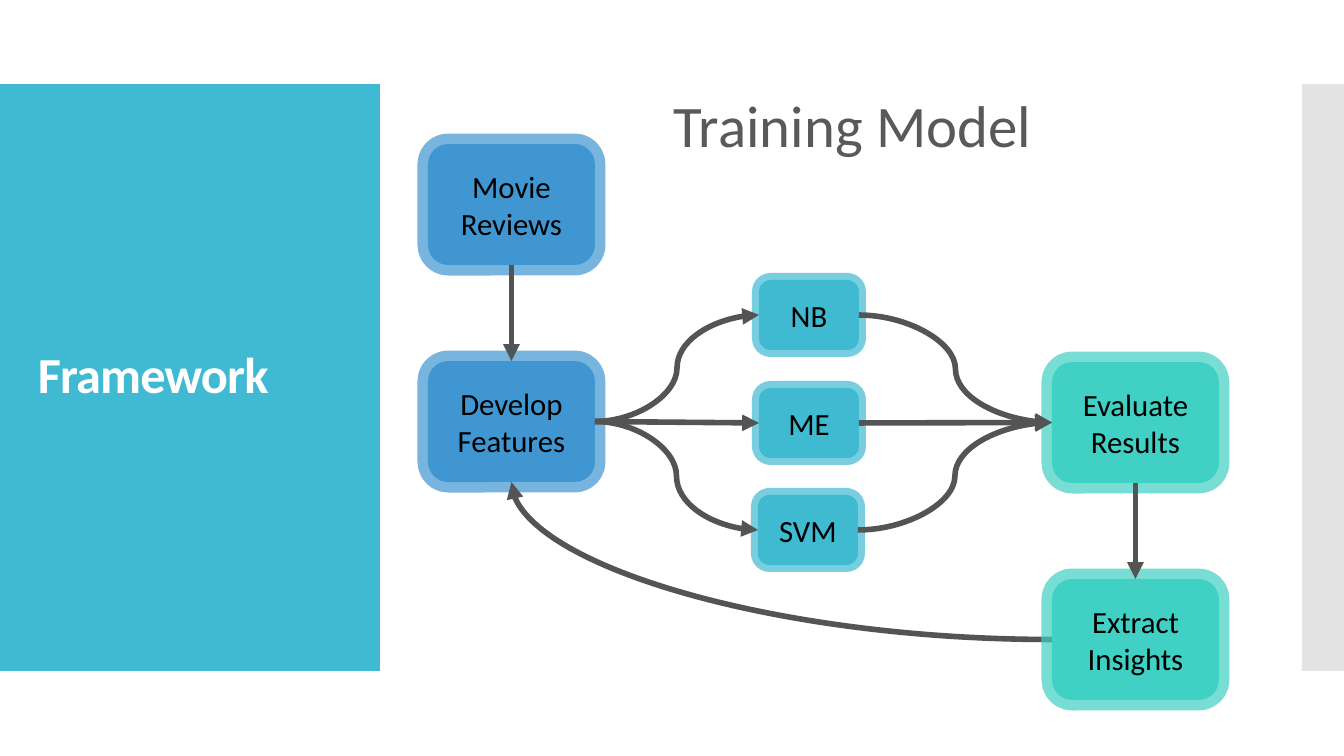
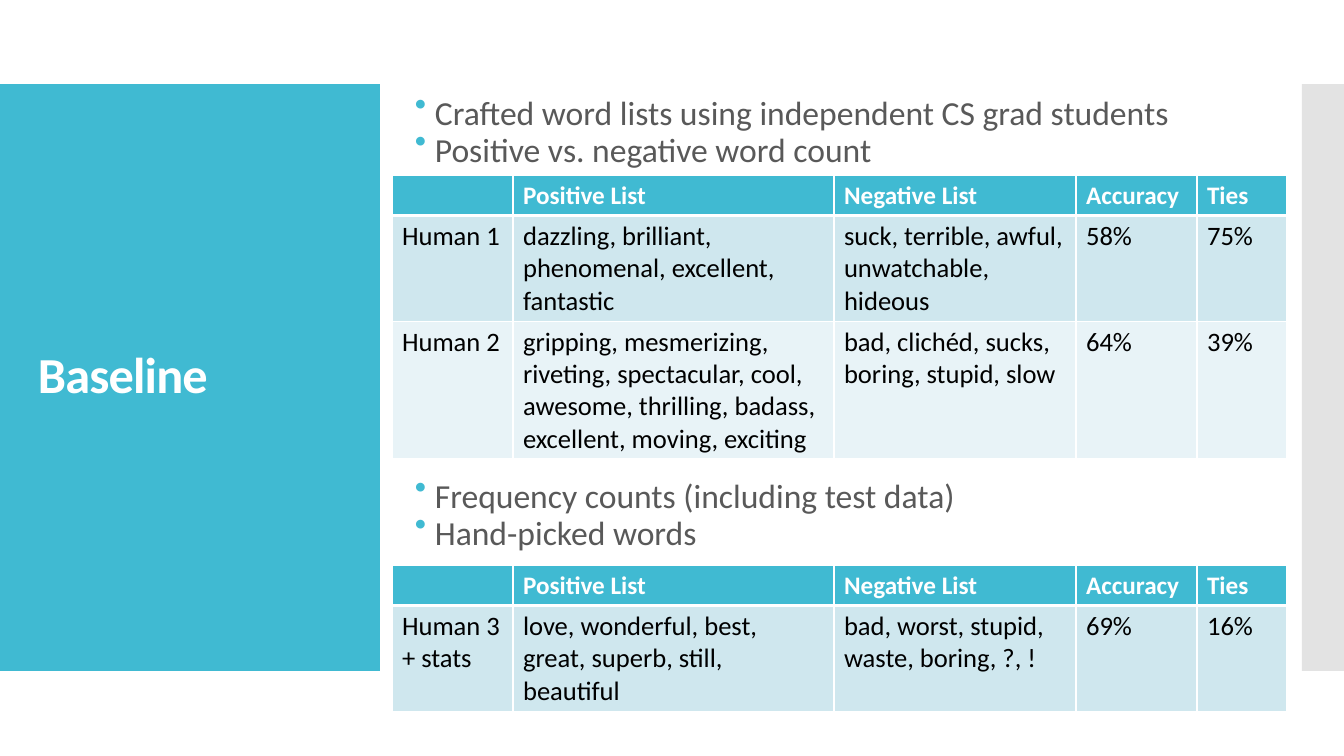
from dataclasses import dataclass
from typing import Any

from lxml.etree import SubElement
from pptx import Presentation as Deck
from pptx.dml.color import RGBColor as Rgb
from pptx.enum.shapes import MSO_CONNECTOR as Wire, MSO_SHAPE as Form
from pptx.enum.text import MSO_ANCHOR as Anchor, PP_ALIGN as Align
from pptx.oxml.ns import qn
from pptx.util import Emu, Pt

SCALE = 914400 / 100.8
FONT = "Calibri"
TEAL, BLUE, MINT = "40BAD2", "4096D1", "40D1C4"
WHITE, BLACK, GREY, DARK = "FFFFFF", "000000", "595959", "545454"
TINTS = ("CFE7EE", "E8F3F7")
HEAD = ("", "Positive List", "Negative List", "Accuracy", "Ties")
COLS = (121, 321, 242, 121, 90)
TOP, LEFT, LOW, RIGHT = range(4)


@dataclass(frozen=True)
class Band:
    left: int
    wide: int
    fill: str
    alpha: int


@dataclass(frozen=True)
class Kind:
    wide: int
    high: int
    fill: str
    edge: int


@dataclass(frozen=True)
class Node:
    text: str
    left: int
    top: int
    kind: Kind


@dataclass(frozen=True)
class Link:
    start: str
    out: int
    end: str
    into: int
    wire: Any = Wire.CURVE


@dataclass(frozen=True)
class Grid:
    top: int
    highs: tuple[int, ...]
    rows: tuple[tuple[str, ...], ...]


@dataclass(frozen=True)
class Points:
    top: int
    lines: tuple[str, ...]


BANDS = (Band(0, 380, TEAL, 100), Band(1302, 42, "C8C8C8", 50))

DATA = Kind(167, 121, BLUE, 15)
MODEL = Kind(100, 70, "40BAD1", 10)
GOAL = Kind(167, 121, MINT, 15)

NODES = (
    Node("Movie Reviews", 428, 144, DATA),
    Node("Develop Features", 428, 361, DATA),
    Node("NB", 759, 280, MODEL),
    Node("ME", 759, 388, MODEL),
    Node("SVM", 758, 495, MODEL),
    Node("Extract Insights", 1052, 579, GOAL),
    Node("Evaluate Results", 1052, 362, GOAL),
)

BACK = Link("Extract Insights", LEFT, "Develop Features", LOW)
LINKS = (
    Link("Movie Reviews", LOW, "Develop Features", TOP, Wire.STRAIGHT),
    Link("Develop Features", RIGHT, "NB", LEFT),
    Link("Develop Features", RIGHT, "ME", LEFT, Wire.STRAIGHT),
    Link("Develop Features", RIGHT, "SVM", LEFT),
    Link("NB", RIGHT, "Evaluate Results", LEFT),
    Link("ME", RIGHT, "Evaluate Results", LEFT, Wire.STRAIGHT),
    Link("SVM", RIGHT, "Evaluate Results", LEFT),
    Link("Evaluate Results", LOW, "Extract Insights", TOP, Wire.STRAIGHT),
)

LISTS = (
    Points(104, (
        "Crafted word lists using independent CS grad students",
        "Positive vs. negative word count",
    )),
    Points(487, (
        "Frequency counts (including test data)",
        "Hand-picked words",
    )),
)

GRIDS = (
    Grid(175, (38, 101, 120), (
        HEAD,
        ("Human 1", "dazzling, brilliant, phenomenal, excellent, fantastic",
         "suck, terrible, awful, unwatchable, hideous", "58%", "75%"),
        ("Human 2", "gripping, mesmerizing, riveting, spectacular, cool, "
         "awesome, thrilling, badass, excellent, moving, exciting",
         "bad, clichéd, sucks, boring, stupid, slow", "64%", "39%"),
    )),
    Grid(565, (38, 101), (
        HEAD,
        ("Human 3 + stats",
         "love, wonderful, best, great, superb, still, beautiful",
         "bad, worst, stupid, waste, boring, ?, !", "69%", "16%"),
    )),
)


def px(count: float) -> Emu:
    return Emu(round(count * SCALE))


def tint(code: str) -> Rgb:
    return Rgb.from_string(code)


def paint(part: Any, code: str) -> None:
    part.fill.solid()
    part.fill.fore_color.rgb = tint(code)


def fade(shape: Any, alpha: int) -> None:
    last = list(shape._element.spPr.iter(qn("a:srgbClr")))[-1]
    SubElement(last, qn("a:alpha")).set("val", str(alpha * 1000))


def style(para: Any, size: float, code: str, bold: bool = False) -> None:
    for run in para.runs:
        font = run.font
        font.name, font.size, font.bold = FONT, Pt(size), bold
        font.color.rgb = tint(code)


def add_text(slide: Any, left: int, top: int, wide: int, high: int) -> Any:
    frame = slide.shapes.add_textbox(
        px(left), px(top), px(wide), px(high)).text_frame
    frame.word_wrap = True
    return frame


def add_band(slide: Any, band: Band) -> None:
    shape = slide.shapes.add_shape(
        Form.RECTANGLE, px(band.left), px(84), px(band.wide), px(587))
    shape.shadow.inherit = False
    paint(shape, band.fill)
    shape.line.fill.background()
    if band.alpha < 100:
        fade(shape, band.alpha)


def add_slide(deck: Any, title: str) -> Any:
    slide = deck.slides.add_slide(deck.slide_layouts[6])
    for band in BANDS:
        add_band(slide, band)
    frame = add_text(slide, 28, 124, 325, 507)
    frame.vertical_anchor = Anchor.MIDDLE
    frame.text = title
    para = frame.paragraphs[0]
    para.line_spacing = 0.9
    style(para, 36, WHITE, True)
    para.runs[0].font._element.set("spc", "-60")
    return slide


def add_node(slide: Any, node: Node) -> Any:
    kind = node.kind
    shape = slide.shapes.add_shape(
        Form.ROUNDED_RECTANGLE, px(node.left), px(node.top),
        px(kind.wide), px(kind.high))
    shape.shadow.inherit = False
    paint(shape, kind.fill)
    shape.line.color.rgb = tint(kind.fill)
    shape.line.width = Pt(kind.edge)
    fade(shape, 70)
    frame = shape.text_frame
    frame.word_wrap = True
    frame.margin_left = frame.margin_right = px(5)
    frame.vertical_anchor = Anchor.MIDDLE
    frame.text = node.text
    para = frame.paragraphs[0]
    para.alignment = Align.CENTER
    style(para, 22, BLACK)
    return shape


def add_link(slide: Any, link: Link, nodes: dict[str, Any]) -> Any:
    line = slide.shapes.add_connector(link.wire, 0, 0, 0, 0)
    line.begin_connect(nodes[link.start], link.out)
    line.end_connect(nodes[link.end], link.into)
    line.line.color.rgb = tint(DARK)
    line.line.width = Pt(4)
    prop = line._element.spPr
    SubElement(prop.find(qn("a:ln")), qn("a:tailEnd")).set("type", "triangle")
    SubElement(prop, qn("a:effectLst"))
    return line


def add_list(slide: Any, points: Points) -> None:
    frame = add_text(slide, 405, points.top, 806, 68)
    for spot, text in enumerate(points.lines):
        para = frame.add_paragraph() if spot else frame.paragraphs[0]
        para.text = text
        para.line_spacing = 0.5
        para.space_before = Pt(12)
        style(para, 24, GREY)
        prop = para._p.get_or_add_pPr()
        prop.set("marL", str(px(20)))
        prop.set("indent", str(-px(20)))
        hue = SubElement(prop, qn("a:buClr"))
        SubElement(hue, qn("a:srgbClr")).set("val", TEAL)
        SubElement(prop, qn("a:buChar")).set("char", "•")


def add_edges(cell: Any, top: int, low: int) -> None:
    prop = cell._tc.get_or_add_tcPr()
    sides = (("L", 1), ("R", 1), ("T", top), ("B", low))
    for spot, (side, width) in enumerate(sides):
        edge = SubElement(prop, qn(f"a:ln{side}"))
        edge.set("w", str(Pt(width)))
        fill = SubElement(edge, qn("a:solidFill"))
        SubElement(fill, qn("a:srgbClr")).set("val", WHITE)
        prop.insert(spot, edge)


def add_grid(slide: Any, grid: Grid) -> None:
    table = slide.shapes.add_table(
        len(grid.rows), len(COLS), px(392), px(grid.top),
        px(sum(COLS)), px(sum(grid.highs))).table
    table.horz_banding = False
    for col, wide in zip(table.columns, COLS):
        col.width = px(wide)
    for spot, (high, texts) in enumerate(zip(grid.highs, grid.rows)):
        table.rows[spot].height = px(high)
        head = spot == 0
        for cell, text in zip(table.rows[spot].cells, texts):
            cell.text = text
            paint(cell, TEAL if head else TINTS[(spot - 1) % 2])
            style(cell.text_frame.paragraphs[0], 18 if head else 19,
                  WHITE if head else BLACK, head)
            add_edges(cell, 3 if spot == 1 else 1, 3 if head else 1)


def draw_flow(deck: Any) -> None:
    slide = add_slide(deck, "Framework")
    nodes = {node.text: add_node(slide, node) for node in NODES}
    back = add_link(slide, BACK, nodes)
    back._element.spPr.find(qn("a:prstGeom")).set("prst", "curvedConnector2")
    nodes[BACK.start]._element.addprevious(back._element)
    for link in LINKS:
        add_link(slide, link, nodes)
    frame = add_text(slide, 664, 84, 388, 82)
    frame.text = "Training Model"
    style(frame.paragraphs[0], 42, GREY)


def draw_base(deck: Any) -> None:
    slide = add_slide(deck, "Baseline")
    for points, grid in zip(LISTS, GRIDS):
        add_list(slide, points)
        add_grid(slide, grid)


def main() -> None:
    deck = Deck()
    deck.slide_width, deck.slide_height = px(1344), px(756)
    draw_flow(deck)
    draw_base(deck)
    deck.save("out.pptx")


main()
